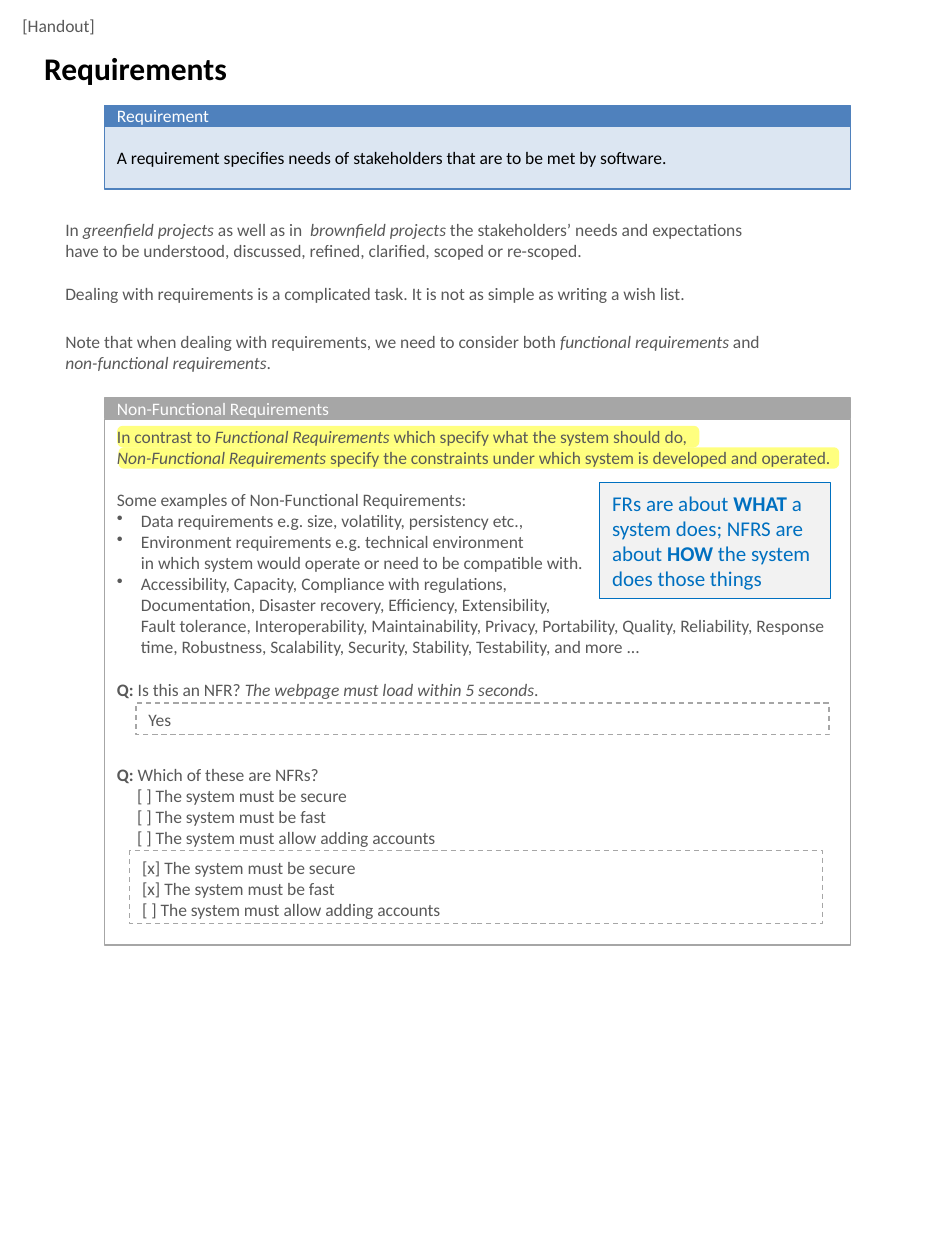
import pptx
import pptx.util
import pptx.dml.color
import pptx.enum.dml
import pptx.enum.shapes
import pptx.enum.text
import pptx.oxml.ns
import lxml.etree

Inches, Pt = pptx.util.Inches, pptx.util.Pt
RGBColor = pptx.dml.color.RGBColor
Anchor = pptx.enum.text.MSO_ANCHOR
Shape = pptx.enum.shapes.MSO_SHAPE

BLACK = RGBColor(0x00, 0x00, 0x00)
WHITE = RGBColor(0xFF, 0xFF, 0xFF)
TEXT_GREY = RGBColor(0x59, 0x59, 0x59)
LINE_GREY = RGBColor(0xA6, 0xA6, 0xA6)
PALE_GREY = RGBColor(0xF2, 0xF2, 0xF2)
HEADER_BLUE = RGBColor(0x4F, 0x81, 0xBD)
PALE_BLUE = RGBColor(0xDC, 0xE6, 0xF2)
NOTE_BLUE = RGBColor(0x00, 0x70, 0xC0)
YELLOW = RGBColor(0xFF, 0xFF, 0x00)

# Content: _italic_, *bold*; a paragraph is (text, kind, blank lines above)
TITLE = "Requirements"
HANDOUT = [("[Handout]", "plain", 0)]
DEFINITION_HEAD = [("Requirement", "plain", 0)]
DEFINITION = [("A requirement specifies needs of stakeholders that are to be met by software.", "plain", 0)]
INTRO = [
    ("In _greenfield projects _as well as in  _brownfield projects _the stakeholders’ needs and expectations ", "plain", 0),
    ("have to be understood, discussed, refined, clarified, scoped or re-scoped. ", "plain", 0),
    ("Dealing with requirements is a complicated task. It is not as simple as writing a wish list.", "plain", 1),
]
KINDS_NOTE = [
    ("Note that when dealing with requirements, we need to consider both _functional requirements _and \n"
     "_non-functional requirements_. ", "plain", 0),
]
NFR_HEAD = [("Non-Functional Requirements", "plain", 0)]
CANDIDATES = ["The system must be secure", "The system must be fast", "The system must allow adding accounts"]
NFR_BODY = [
    ("In contrast to _Functional Requirements _which specify what the system should do, ", "plain", 0),
    ("_Non-Functional Requirements _specify the constraints under which system is developed and operated. ", "plain", 0),
    ("Some examples of Non-Functional Requirements:", "plain", 1),
    ("Data requirements e.g. size, volatility, persistency etc., ", "bullet", 0),
    ("Environment requirements e.g. technical environment \n"
     "in which system would operate or need to be compatible with. ", "bullet", 0),
    ("Accessibility, Capacity, Compliance with regulations, \n"
     "Documentation, Disaster recovery, Efficiency, Extensibility, \n"
     "Fault tolerance, Interoperability, Maintainability, Privacy, Portability, Quality, Reliability, "
     "Response time, Robustness, Scalability, Security, Stability, Testability, and more ...", "bullet", 0),
    ("*Q: *Is this an NFR? _The webpage must load within 5 seconds_.", "plain", 1),
    ("*Q: *Which of these are NFRs?", "plain", 3),
] + [("[ ] " + name, "option", 0) for name in CANDIDATES]
ANSWER_YES = [("Yes", "plain", 0)]
ANSWER_CHECKED = [(mark + name, "plain", 0) for mark, name in zip(["[x] ", "[x] ", "[ ] "], CANDIDATES)]
SUMMARY = [("FRs are about *WHAT* a system does; NFRS are about *HOW* the system does those things", "plain", 0)]

# Left margin and first-line indent in inches
INDENTS = {"bullet": (0.19, -0.19), "option": (0.16, 0)}
BLANK_LINE = Pt(12.2)

deck = pptx.Presentation()
deck.slide_width, deck.slide_height = Inches(7.5), Inches(10)
page = deck.slides.add_slide(deck.slide_layouts[5])


def place(at):
    return [Inches(value) for value in at]


def add_spans(para, text):
    """Split marked text into runs; each marker toggles its style."""
    style = {"_": False, "*": False}
    piece = ""

    def flush():
        if piece:
            span = para.add_run()
            span.text = piece
            if style["_"]:
                span.font.italic = True
            if style["*"]:
                span.font.bold = True

    for char in text:
        if char in style or char == "\n":
            flush()
            piece = ""
            if char == "\n":
                para.add_line_break()
            else:
                style[char] = not style[char]
        else:
            piece += char
    flush()


def write(box, content, color=TEXT_GREY, size=10, anchor=Anchor.TOP):
    frame = box.text_frame
    frame.word_wrap = True
    frame.vertical_anchor = anchor
    for index, (text, kind, blanks) in enumerate(content):
        para = frame.paragraphs[0] if index == 0 else frame.add_paragraph()
        para.alignment = pptx.enum.text.PP_ALIGN.LEFT
        if blanks:
            para.space_before = blanks * BLANK_LINE
        para.font.name, para.font.size = "Calibri", Pt(size)
        para.font.color.rgb = color
        add_spans(para, text)
        if kind in INDENTS:
            margin, first = INDENTS[kind]
            props = para._p.get_or_add_pPr()
            props.set("marL", str(Inches(margin)))
            props.set("indent", str(Inches(first)))
            if kind == "bullet":
                bullet = lxml.etree.Element(pptx.oxml.ns.qn("a:buChar"), char="•")
                props.find(pptx.oxml.ns.qn("a:defRPr")).addprevious(bullet)


def add_box(at, fill=None, line=None, width=0.75, dashed=False, shape=Shape.RECTANGLE):
    box = page.shapes.add_shape(shape, *place(at))
    box.shadow.inherit = False
    if fill is None:
        box.fill.background()
    else:
        box.fill.solid()
        box.fill.fore_color.rgb = fill
    if line is None:
        box.line.fill.background()
    else:
        box.line.color.rgb = line
        box.line.width = Pt(width)
        if dashed:
            box.line.dash_style = pptx.enum.dml.MSO_LINE.DASH
    return box


# Title
title = page.shapes.title
title.left, title.top, title.width, title.height = place((0.25, 0.34, 3.25, 0.4))
write(title, [(TITLE, "plain", 0)], BLACK, 18)
title.text_frame.auto_size = pptx.enum.text.MSO_AUTO_SIZE.NONE
title.text_frame.paragraphs[0].font.bold = True

# Half-transparent highlights behind the first two lines of the lower panel
for at in [(0.93, 3.38, 4.62, 0.17), (0.94, 3.55, 5.72, 0.17)]:
    mark = add_box(at, YELLOW, shape=Shape.ROUNDED_RECTANGLE)
    mark.adjustments[0] = 0.25
    tint = mark._element.spPr.find(".//" + pptx.oxml.ns.qn("a:srgbClr"))
    lxml.etree.SubElement(tint, pptx.oxml.ns.qn("a:alpha"), val="50000")

# Panels: header bar over body
PANEL_LEFT, PANEL_WIDTH, HEAD_HEIGHT = 0.83, 5.92, 0.16
panels = [
    (0.84, 1, 0.5, HEADER_BLUE, PALE_BLUE, DEFINITION_HEAD, DEFINITION, BLACK, Anchor.MIDDLE),
    (3.16, 3.33, 4.17, LINE_GREY, None, NFR_HEAD, NFR_BODY, TEXT_GREY, Anchor.TOP),
]
for head_top, top, height, accent, fill, head_text, body_text, color, anchor in panels:
    body = add_box((PANEL_LEFT, top, PANEL_WIDTH, height), fill, accent)
    write(body, body_text, color, anchor=anchor)
    head = add_box((PANEL_LEFT, head_top, PANEL_WIDTH, HEAD_HEIGHT), accent, accent)
    write(head, head_text, WHITE, anchor=Anchor.MIDDLE)

# Dashed answer boxes
for at, answer in [((1.08, 5.58, 5.5, 0.25), ANSWER_YES), ((1.03, 6.75, 5.5, 0.58), ANSWER_CHECKED)]:
    write(add_box(at, line=LINE_GREY, dashed=True), answer)

# Free text
for at, content in [
    ((0.08, 0.07, 6.17, 0.27), HANDOUT),
    ((0.42, 1.69, 6.17, 0.77), INTRO),
    ((0.42, 2.58, 6.25, 0.44), KINDS_NOTE),
]:
    write(page.shapes.add_textbox(*place(at)), content)

# Summary note
summary = add_box((4.76, 3.83, 1.83, 0.92), PALE_GREY, NOTE_BLUE, 0.5)
write(summary, SUMMARY, NOTE_BLUE, 12, Anchor.MIDDLE)

deck.save("out.pptx")
